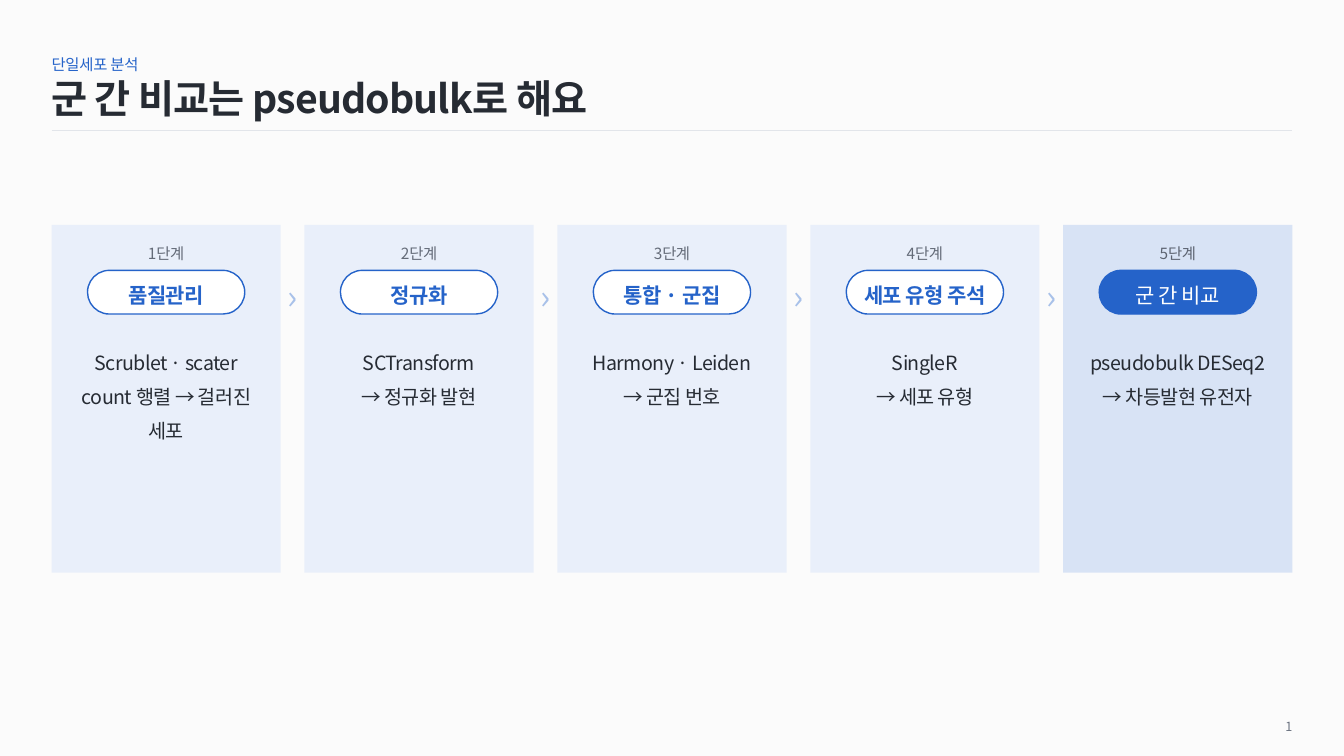
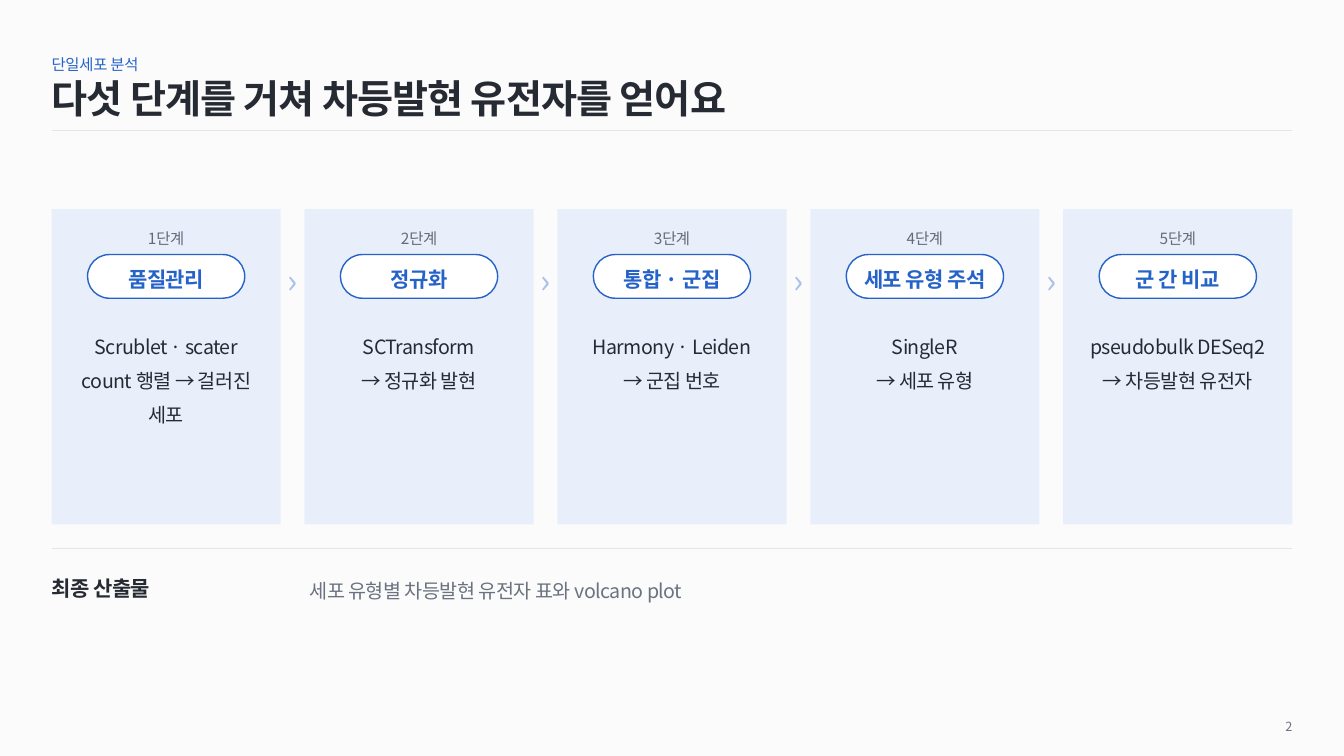
from dataclasses import dataclass

from lxml import etree
from pptx import Presentation
from pptx.dml.color import RGBColor
from pptx.enum.shapes import MSO_CONNECTOR, MSO_SHAPE
from pptx.enum.text import MSO_ANCHOR, MSO_AUTO_SIZE, PP_ALIGN
from pptx.oxml.ns import qn
from pptx.shapes.autoshape import Shape
from pptx.shapes.connector import Connector
from pptx.slide import Slide, SlideLayout
from pptx.text.text import TextFrame
from pptx.util import Pt


@dataclass(frozen=True)
class TextStyle:
    size: float
    color: str
    bold: bool = False
    tracking: float = -0.4
    spacing: float | None = 1.2
    align: PP_ALIGN = PP_ALIGN.CENTER
    anchor: MSO_ANCHOR = MSO_ANCHOR.TOP


@dataclass(frozen=True)
class CardStyle:
    fill: str
    pill_fill: str
    label: TextStyle
    pill: TextStyle


@dataclass(frozen=True)
class Theme:
    font = "Noto Sans CJK KR"
    background = "FBFBFB"
    rule = "E2E5EA"
    accent = "2563C9"
    ink = "262B33"
    muted = "6B7280"
    title = TextStyle(28, ink, True, -0.6, None, PP_ALIGN.LEFT, MSO_ANCHOR.MIDDLE)
    eyebrow = TextStyle(11, accent, False, -0.2, None, PP_ALIGN.LEFT, MSO_ANCHOR.BOTTOM)
    page = TextStyle(9, muted, False, 0, None, PP_ALIGN.RIGHT, MSO_ANCHOR.MIDDLE)
    body = TextStyle(14, ink, spacing=1.45)
    chevron = TextStyle(24, "A8C1E9", anchor=MSO_ANCHOR.MIDDLE)
    result_name = TextStyle(15, ink, True, align=PP_ALIGN.LEFT)
    result_text = TextStyle(14, muted, spacing=1.35, align=PP_ALIGN.LEFT)
    plain_card = CardStyle(
        "E9EFFA", "FFFFFF", TextStyle(11, "646B78"),
        TextStyle(15, accent, True, anchor=MSO_ANCHOR.MIDDLE))
    strong_card = CardStyle(
        "D8E3F5", accent, TextStyle(11, "5D6471"),
        TextStyle(15, "FFFFFF", anchor=MSO_ANCHOR.MIDDLE))


@dataclass(frozen=True)
class Box:
    left: float
    top: float
    width: float
    height: float


@dataclass(frozen=True)
class Step:
    name: str
    tool: str
    output: str


@dataclass(frozen=True)
class Page:
    title: str
    cards_top: float
    cards_height: float
    highlighted: int | None = None
    result: tuple[str, str] | None = None


THEME = Theme()
SLIDE_WIDTH, SLIDE_HEIGHT = 960, 540
MARGIN = 36.85
CONTENT_WIDTH = SLIDE_WIDTH - 2 * MARGIN
CARD_GAP = 17
RESULT_GAP = 17
PILL_WIDTH, PILL_HEIGHT, PILL_OFFSET = 112.3, 31.2, 32.5
CHEVRON_WIDTH, CHEVRON_HEIGHT = 22, 36.85
BODY_INSET, BODY_OFFSET = 14.17, 82.2

EYEBROW = "단일세포 분석"
STEPS = [
    Step("품질관리", "Scrublet · scater", "count 행렬 → 걸러진 세포"),
    Step("정규화", "SCTransform", "→ 정규화 발현"),
    Step("통합 · 군집", "Harmony · Leiden", "→ 군집 번호"),
    Step("세포 유형 주석", "SingleR", "→ 세포 유형"),
    Step("군 간 비교", "pseudobulk DESeq2", "→ 차등발현 유전자"),
]
PAGES = [
    Page("군 간 비교는 pseudobulk로 해요", 160.6, 248.4, highlighted=5),
    Page("다섯 단계를 거쳐 차등발현 유전자를 얻어요", 149.3, 225.2,
         result=("최종 산출물", "세포 유형별 차등발현 유전자 표와 volcano plot")),
]
CARD_WIDTH = (CONTENT_WIDTH - CARD_GAP * (len(STEPS) - 1)) / len(STEPS)


def rgb(color: str) -> RGBColor:
    return RGBColor.from_string(color)


def points(box: Box) -> tuple[Pt, Pt, Pt, Pt]:
    return Pt(box.left), Pt(box.top), Pt(box.width), Pt(box.height)


def write(frame: TextFrame, style: TextStyle, *lines: str) -> None:
    frame.auto_size = MSO_AUTO_SIZE.NONE
    frame.word_wrap = True
    frame.vertical_anchor = style.anchor
    frame.margin_left = frame.margin_right = Pt(0)
    frame.margin_top = frame.margin_bottom = Pt(0)
    for index, line in enumerate(lines):
        paragraph = frame.add_paragraph() if index else frame.paragraphs[0]
        paragraph.alignment = style.align
        if style.spacing:
            paragraph.line_spacing = style.spacing
        run = paragraph.add_run()
        run.text = line
        run.font.size = Pt(style.size)
        run.font.bold = style.bold
        run.font.color.rgb = rgb(style.color)
        run.font.name = THEME.font
        properties = run.font._element if hasattr(run.font, "_element") else run._r.get_or_add_rPr()
        properties.set("spc", str(round(style.tracking * 100)))
        etree.SubElement(properties, qn("a:ea"), typeface=THEME.font)


def add_text(slide: Slide, box: Box, style: TextStyle, *lines: str) -> None:
    write(slide.shapes.add_textbox(*points(box)).text_frame, style, *lines)


def add_panel(slide: Slide, kind: MSO_SHAPE, box: Box, fill: str,
              line: str | None = None) -> Shape:
    panel = slide.shapes.add_shape(kind, *points(box))
    panel.shadow.inherit = False
    panel.fill.solid()
    panel.fill.fore_color.rgb = rgb(fill)
    if line:
        panel.line.color.rgb = rgb(line)
        panel.line.width = Pt(1)
    else:
        panel.line.fill.background()
    return panel


def add_rule(slide: Slide, top: float) -> Connector:
    rule = slide.shapes.add_connector(
        MSO_CONNECTOR.STRAIGHT, Pt(MARGIN), Pt(top), Pt(MARGIN + CONTENT_WIDTH), Pt(top))
    rule.line.color.rgb = rgb(THEME.rule)
    rule.line.width = Pt(0.75)
    etree.SubElement(rule.element.spPr, qn("a:effectLst"))
    return rule


def add_frame(slide: Slide, title: str, number: int) -> None:
    add_text(slide, Box(MARGIN, 36.85, 396.85, 15.6), THEME.eyebrow, EYEBROW)
    heading = slide.shapes.title
    heading.left, heading.top, heading.width, heading.height = points(
        Box(MARGIN, 52.45, CONTENT_WIDTH, 35.4))
    write(heading.text_frame, THEME.title, title)
    add_text(slide, Box(MARGIN + CONTENT_WIDTH - 85, 511.9, 85, 14.2),
             THEME.page, str(number))


def add_step(slide: Slide, step: Step, number: int, page: Page) -> None:
    style = THEME.strong_card if number == page.highlighted else THEME.plain_card
    left = MARGIN + (number - 1) * (CARD_WIDTH + CARD_GAP)
    top = page.cards_top
    pill_top = top + PILL_OFFSET
    add_panel(slide, MSO_SHAPE.RECTANGLE,
              Box(left, top, CARD_WIDTH, page.cards_height), style.fill)
    add_text(slide, Box(left, top + 11.4, CARD_WIDTH, 17), style.label, f"{number}단계")
    pill = add_panel(slide, MSO_SHAPE.ROUNDED_RECTANGLE,
                     Box(left + (CARD_WIDTH - PILL_WIDTH) / 2, pill_top,
                         PILL_WIDTH, PILL_HEIGHT), style.pill_fill, THEME.accent)
    pill.adjustments[0] = 0.5
    write(pill.text_frame, style.pill, step.name)
    add_text(slide, Box(left + BODY_INSET, top + BODY_OFFSET,
                        CARD_WIDTH - 2 * BODY_INSET, 74),
             THEME.body, step.tool, step.output)
    if number < len(STEPS):
        add_text(slide, Box(left + CARD_WIDTH + (CARD_GAP - CHEVRON_WIDTH) / 2,
                            pill_top + (PILL_HEIGHT - CHEVRON_HEIGHT) / 2,
                            CHEVRON_WIDTH, CHEVRON_HEIGHT), THEME.chevron, "›")


def add_result(slide: Slide, page: Page) -> None:
    name, text = page.result
    rule_top = page.cards_top + page.cards_height + RESULT_GAP
    text_left = MARGIN + 184.25
    add_rule(slide, rule_top)
    add_text(slide, Box(MARGIN, rule_top + 16, 170, 22), THEME.result_name, name)
    add_text(slide, Box(text_left, rule_top + 16, MARGIN + CONTENT_WIDTH - text_left, 24),
             THEME.result_text, text)


def add_page(deck: Presentation, layout: SlideLayout, page: Page, number: int) -> None:
    slide = deck.slides.add_slide(layout)
    if number == 1:
        layout.shapes.element.append(add_rule(slide, 93.4).element)
    add_frame(slide, page.title, number)
    for step_number, step in enumerate(STEPS, start=1):
        add_step(slide, step, step_number, page)
    if page.result:
        add_result(slide, page)


def main() -> None:
    deck = Presentation()
    deck.slide_width, deck.slide_height = Pt(SLIDE_WIDTH), Pt(SLIDE_HEIGHT)
    background = deck.slide_master.background.fill
    background.solid()
    background.fore_color.rgb = rgb(THEME.background)
    layout = deck.slide_layouts.get_by_name("Title Only")
    for number, page in enumerate(PAGES, start=1):
        add_page(deck, layout, page, number)
    deck.save("out.pptx")


main()
